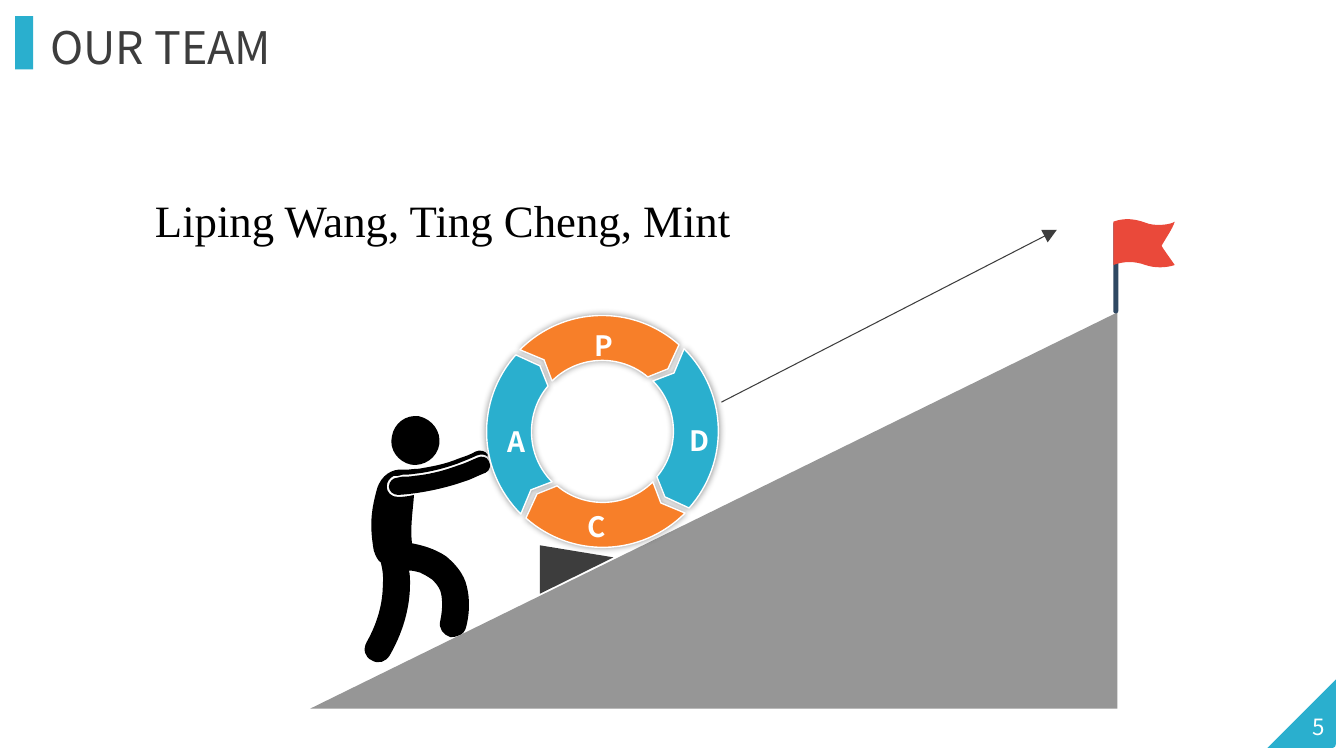
from dataclasses import dataclass

from lxml.etree import SubElement
from pptx import Presentation
from pptx.dml.color import RGBColor
from pptx.enum.shapes import MSO_CONNECTOR as Conn, MSO_SHAPE as Kind
from pptx.enum.text import MSO_ANCHOR as Anchor, MSO_AUTO_SIZE as Auto, PP_ALIGN as Align
from pptx.oxml.ns import qn
from pptx.util import Pt

PX = 9144  # EMU per px, 100 px to the inch


@dataclass(frozen=True)
class Theme:
    blue: str = "2AAFCE"
    orange: str = "F77F29"
    dark: str = "3D3D3D"
    gray: str = "969696"
    navy: str = "2F4862"
    red: str = "EA493A"
    black: str = "000000"
    white: str = "FFFFFF"
    sans: str = "Noto Sans CJK SC"
    serif: str = "Times New Roman"
    big: int = 32
    mid: int = 20
    small: int = 16


T = Theme()

# Content: boxes are left, top, width, height
SIZE = (1334, 750)
TITLE = ("OUR TEAM", (40, 14, 823, 64))
NAMES = ("Liping Wang, Ting Cheng, Mint", (144, 186, 690, 64))
NUMBER = ("5", (1284, 702, 50, 37))
BAR = (15, 16, 18, 53)
POLE = (1105, 220, 5, 91)
ARROW = (716, 399, 1049, 228)
STEPS = [
    ("P", (572, 321, 54, 44), T.orange),
    ("D", (682, 415, 25, 44), T.blue),
    ("C", (562, 500, 61, 44), T.orange),
    ("A", (500, 416, 25, 44), T.blue),
]

# Outlines: a pair is a straight step, six numbers are a cubic curve
CORNER = [(1326, 674), (1326, 738), (1326, 740, 1325, 742, 1323, 742), (1258, 742)]
HILL = [(308, 703), (1109, 703), (1109, 310)]
WEDGE = [(609, 553), (536, 541), (536, 589)]
FLAG = [
    (1105, 220), (1116, 216, 1126, 217, 1137, 221), (1146, 225, 1162, 223, 1166, 220),
    (1164, 227, 1156, 238, 1153, 244), (1156, 249, 1162, 257, 1166, 263),
    (1157, 266, 1146, 266, 1137, 263), (1126, 259, 1116, 259, 1105, 263),
    (1105, 249, 1105, 234, 1105, 220),
]
HEAD = [
    (389, 433), (386, 446, 395, 458, 408, 461), (421, 463, 434, 454, 436, 441),
    (438, 428, 429, 416, 416, 413), (403, 411, 391, 420, 389, 433),
]
BODY = [
    (409, 539), (407, 523, 410, 505, 411, 491), (403, 493, 397, 493, 395, 493),
    (392, 493, 389, 492, 387, 490), (385, 488, 384, 486, 384, 482),
    (384, 478, 387, 474, 391, 472), (392, 472, 393, 472, 395, 472),
    (396, 472, 397, 472, 399, 471), (402, 471, 406, 471, 412, 470),
    (422, 469, 437, 466, 454, 460), (461, 457, 467, 455, 473, 452),
    (478, 450, 482, 451, 484, 453), (484, 453, 484, 452, 484, 451),
    (482, 447, 476, 446, 472, 448), (467, 451, 461, 453, 455, 455),
    (441, 461, 427, 463, 416, 465), (411, 465, 406, 466, 403, 466), (399, 466),
    (390, 465, 378, 471, 374, 486), (368, 508, 367, 522, 371, 546),
    (373, 552, 375, 556, 378, 558), (379, 562, 381, 570, 380, 580),
    (380, 594, 377, 614, 364, 637), (360, 644, 362, 652, 369, 655),
    (375, 659, 383, 657, 387, 650), (403, 622, 407, 597, 407, 579),
    (407, 574, 407, 570, 406, 566), (410, 566, 413, 567, 417, 568),
    (421, 570, 425, 572, 429, 575), (432, 578, 435, 581, 437, 586),
    (439, 592, 440, 602, 437, 616), (435, 623, 440, 630, 447, 632),
    (450, 632, 452, 632, 454, 631), (459, 630, 462, 626, 463, 621),
    (467, 604, 466, 589, 462, 577), (458, 566, 450, 558, 443, 552),
    (431, 544, 419, 541, 409, 539),
]
ARM = [
    (474, 454), (467, 457, 461, 460, 454, 462), (438, 468, 423, 471, 412, 472),
    (407, 473, 402, 473, 399, 473), (397, 474, 396, 474, 394, 474),
    (390, 474, 386, 478, 386, 483), (386, 487, 390, 491, 395, 491),
    (395, 491, 425, 490, 460, 478), (467, 476, 474, 472, 482, 469),
    (486, 467, 488, 462, 485, 457), (483, 453, 478, 452, 474, 454),
]
# Top quarter of the ring, measured from its centre
HUB = (598, 428)
QUARTER = [
    (45, -54), (18, -77, -24, -76, -50, -50), (-58, -71), (-82, -81),
    (-38, -125, 31, -126, 76, -86), (65, -62),
]


def emu(nums):
    return [round(n * PX) for n in nums]


def rgb(code):
    return RGBColor.from_string(code)


def paint(shape, fill, line=None):
    shape.shadow.inherit = False
    shape.fill.solid()
    shape.fill.fore_color.rgb = rgb(fill)
    if line:
        shape.line.color.rgb = rgb(line)
        shape.line.width = Pt(1)
    else:
        shape.line.fill.background()
    return shape


def pairs(step):
    return list(zip(step[::2], step[1::2]))


def bounds(steps, cuts=24):
    """Corners of the box that holds every straight and curved step."""
    pts = [steps[0]]
    for step in steps[1:]:
        if len(step) == 2:
            pts.append(step)
            continue
        curve = list(zip([pts[-1]] + pairs(step), (1, 3, 3, 1)))
        for i in range(1, cuts + 1):
            t = i / cuts
            pts.append(tuple(
                sum(k * p[axis] * t**n * (1 - t)**(3 - n) for n, (p, k) in enumerate(curve))
                for axis in (0, 1)))
    xs, ys = zip(*pts)
    return emu((min(xs), min(ys))), emu((max(xs), max(ys)))


def draw(host, steps, fill, line=None):
    low, high = bounds(steps)
    pen = host.build_freeform(*low, scale=1.0)
    pen.add_line_segments([high])
    shape = pen.convert_to_shape()
    track = next(shape.element.iter(qn("a:path")))
    for node in list(track):
        track.remove(node)
    for i, step in enumerate(steps):
        tag = "a:moveTo" if i == 0 else "a:lnTo" if len(step) == 2 else "a:cubicBezTo"
        node = SubElement(track, qn(tag))
        for x, y in map(emu, pairs(step)):
            SubElement(node, qn("a:pt"), x=str(x - low[0]), y=str(y - low[1]))
    SubElement(track, qn("a:close"))
    return paint(shape, fill, line)


def turn(step, times):
    """Rotate a step clockwise by quarter turns and move it to the hub."""
    pts = pairs(step)
    for _ in range(times):
        pts = [(-y, x) for x, y in pts]
    return tuple(n for x, y in pts for n in (x + HUB[0], y + HUB[1]))


def glow(shape):
    node = SubElement(shape.element.spPr.find(qn("a:effectLst")), qn("a:outerShdw"),
                      blurRad=str(Pt(5)), dist="0", dir="0", algn="ctr", rotWithShape="0")
    tone = SubElement(node, qn("a:srgbClr"), val=T.black)
    SubElement(tone, qn("a:alpha"), val="40000")


def write(text, box, host=None, size=T.mid, color=T.white, font=T.sans,
          bold=False, align=Align.CENTER, wrap=False):
    spot = emu(box)
    host = host or shapes.add_textbox(*spot)
    host.left, host.top, host.width, host.height = spot
    frame = host.text_frame
    frame.text = text
    frame.word_wrap = wrap
    frame.auto_size = Auto.NONE
    frame.vertical_anchor = Anchor.MIDDLE
    para = frame.paragraphs[0]
    para.alignment = align
    face = para.runs[0].font
    face.size, face.name, face.bold = Pt(size), font, bold
    face.color.rgb = rgb(color)


deck = Presentation()
deck.slide_width, deck.slide_height = emu(SIZE)
slide = deck.slides.add_slide(deck.slide_layouts[5])
shapes = slide.shapes

# Title, bar and page corner
draw(shapes, CORNER, T.blue)
write(*NUMBER, size=T.small)
write(*TITLE, host=shapes.title, size=T.big, color=T.dark, align=Align.LEFT, wrap=True)
paint(shapes.add_shape(Kind.RECTANGLE, *emu(BAR)), T.blue)

# Pushing figure, hill, flag and wedge
man = shapes.add_group_shape().shapes
for part in (HEAD, BODY, ARM):
    draw(man, part, T.black)
draw(shapes, HILL, T.gray)
goal = shapes.add_group_shape().shapes
pole = paint(goal.add_shape(Kind.ROUNDED_RECTANGLE, *emu(POLE)), T.navy)
pole.adjustments[0] = 0.5
draw(goal, FLAG, T.red)
draw(shapes, WEDGE, T.dark)

# Ring of four steps
for i, (_, _, fill) in enumerate(STEPS):
    glow(draw(shapes, [turn(step, i) for step in QUARTER], fill, T.white))
for text, box, _ in STEPS:
    write(text, box, bold=True)

# Arrow up the hill
arrow = shapes.add_connector(Conn.STRAIGHT, *emu(ARROW))
arrow.line.color.rgb = rgb(T.dark)
arrow.line.width = Pt(0.75)
SubElement(arrow.line._get_or_add_ln(), qn("a:tailEnd"), type="triangle", w="lg", len="lg")
SubElement(arrow.element.spPr, qn("a:effectLst"))

# Team names
write(*NAMES, size=T.big, color=T.black, font=T.serif, align=Align.LEFT, wrap=True)

deck.save("out.pptx")
